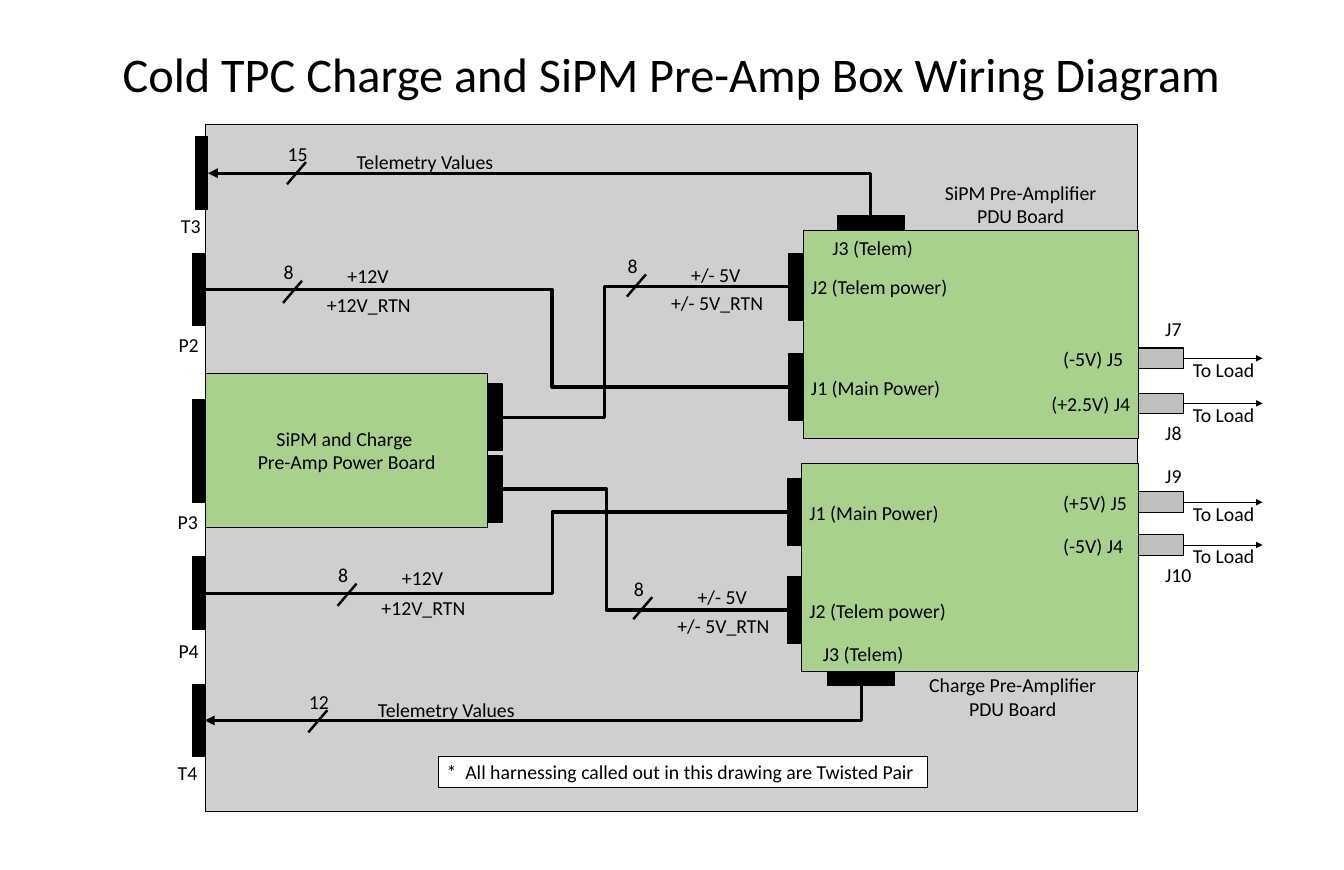
from dataclasses import dataclass
from lxml.etree import SubElement
from pptx import Presentation
from pptx.dml.color import RGBColor
from pptx.enum.shapes import MSO_CONNECTOR as CXN, MSO_SHAPE as SHAPE
from pptx.enum.text import MSO_ANCHOR as ANCHOR, MSO_AUTO_SIZE as AUTO, PP_ALIGN as ALIGN
from pptx.oxml.ns import qn
from pptx.util import Inches, Pt


@dataclass(frozen=True)
class Theme:
    font: str = "Calibri"
    black: str = "000000"
    white: str = "FFFFFF"
    box: str = "D0CECE"
    board: str = "A9D18E"
    plug: str = "BFBFBF"
    title: int = 44
    body: int = 18
    wire: float = 3
    slash: float = 2.25
    lead: float = 0.5


THEME = Theme()
TOP, LEFT, BOTTOM, RIGHT = range(4)


def write(tf, text, size=THEME.body, align=ALIGN.LEFT, anchor=ANCHOR.TOP, wrap=False):
    tf.auto_size = AUTO.NONE if wrap else AUTO.SHAPE_TO_FIT_TEXT
    tf.word_wrap = wrap
    tf.vertical_anchor = anchor
    p = tf.paragraphs[0]
    p.text = text
    p.alignment = align
    for r in p.runs:
        r.font.name = THEME.font
        r.font.size = Pt(size)
        r.font.color.rgb = RGBColor.from_string(THEME.black)
    return p


def add_label(slide, text, x, y, w, h=0.4, **fmt):
    sp = slide.shapes.add_textbox(Inches(x), Inches(y), Inches(w), Inches(h))
    write(sp.text_frame, text, **fmt)


def add_rect(slide, x, y, w, h, fill=THEME.black, line=1):
    sp = slide.shapes.add_shape(SHAPE.RECTANGLE, Inches(x), Inches(y), Inches(w), Inches(h))
    sp.shadow.inherit = False
    sp.fill.solid()
    sp.fill.fore_color.rgb = RGBColor.from_string(fill)
    sp.line.color.rgb = RGBColor.from_string(THEME.black)
    sp.line.width = Pt(line)
    return sp


def style_line(cxn, width, arrow=None):
    cxn.line.color.rgb = RGBColor.from_string(THEME.black)
    cxn.line.width = Pt(width)
    sp_pr = cxn._element.spPr
    if arrow:
        SubElement(sp_pr.find(qn("a:ln")), qn("a:" + arrow), type="triangle")
    SubElement(sp_pr, qn("a:effectLst"))


def add_line(slide, x1, y1, x2, y2, width, arrow=None):
    cxn = slide.shapes.add_connector(CXN.STRAIGHT, Inches(x1), Inches(y1), Inches(x2), Inches(y2))
    style_line(cxn, width, arrow)


def add_wire(slide, start, end, site, bend=None, arrow=None):
    cxn = slide.shapes.add_connector(CXN.ELBOW, 0, 0, 0, 0)
    cxn.begin_connect(start, RIGHT)
    cxn.end_connect(end, site)
    geom = cxn._element.spPr.find(qn("a:prstGeom"))
    if bend is None:
        geom.set("prst", "bentConnector2")
    else:
        share = (Inches(bend) - cxn.begin_x) / (cxn.end_x - cxn.begin_x)
        SubElement(geom.find(qn("a:avLst")), qn("a:gd"), name="adj1",
                   fmla=f"val {round(share * 100000)}")
    style_line(cxn, THEME.wire, arrow)


def wire_mark(slide, x, y, count, labels):
    add_line(slide, x + 0.24, y, x, y + 0.28, THEME.slash)
    add_label(slide, count, x - 0.09, y - 0.31, 0.33 if len(count) == 1 else 0.46)
    for text, dx, dy, w in labels:
        add_label(slide, text, x + dx, y + dy, w, align=ALIGN.CENTER)


def box_plug(slide, name, x, y, w, h, gap):
    sp = add_rect(slide, x, y, w, h)
    add_label(slide, name, x - 0.28, y + h + gap, 0.46)
    return sp


def load_output(slide, x, y, name, name_dy, name_w):
    add_rect(slide, x, y, 0.59, 0.26, fill=THEME.plug)
    add_line(slide, x + 0.59, y + 0.13, x + 1.59, y + 0.13, THEME.lead, "tailEnd")
    add_label(slide, "To Load", x + 0.61, y + 0.07, 0.99)
    add_label(slide, name, x + 0.26, y + name_dy, name_w)


def pdu_board(slide, x, y, w, title, ports, telem, outputs):
    for dy, name, name_dy, name_w, *_ in outputs:
        load_output(slide, x + w - 0.02, y + dy, name, name_dy, name_w)
    add_rect(slide, x, y, w, 2.63, fill=THEME.board)
    for dy, *_, inner, dx, inner_w in outputs:
        add_label(slide, inner, x + dx, y + dy - 0.06, inner_w)
    text, dx, dy, title_w = title
    add_label(slide, text, x + dx, y + dy, title_w, 0.71, align=ALIGN.CENTER)
    plugs = {}
    for name, text, dy, text_w in ports:
        plugs[name] = add_rect(slide, x - 0.18, y + dy, 0.18, 0.85)
        add_label(slide, text, x, y + dy + 0.23, text_w)
    dx, dy, text_dy = telem
    plugs["J3"] = add_rect(slide, x + dx, y + dy, 0.85, 0.18)
    add_label(slide, "J3 (Telem)", x + dx - 0.16, y + text_dy, 1.23)
    return plugs


def power_board(slide, x, y, w, h):
    add_rect(slide, x, y, w, h, fill=THEME.board)
    add_label(slide, "SiPM and Charge \nPre-Amp Power Board", x + 0.55, y + 0.62, 2.47, 0.71,
              align=ALIGN.CENTER)
    return [add_rect(slide, x + w, y + dy, 0.18, 0.85) for dy in (0.13, 1.04)]


def page_title(slide, x, y, w, h):
    sp = slide.shapes.title
    sp.left, sp.top, sp.width, sp.height = map(Inches, (x, y, w, h))
    p = write(sp.text_frame, "Cold TPC Charge and SiPM Pre-Amp Box Wiring Diagram",
              size=THEME.title, align=ALIGN.CENTER, anchor=ANCHOR.MIDDLE, wrap=True)
    p.line_spacing = 0.9


def harness_note(slide, x, y, w, h):
    sp = add_rect(slide, x, y, w, h, fill=THEME.white, line=0.75)
    write(sp.text_frame, "*  All harnessing called out in this drawing are Twisted Pair")


def wiring_slide(prs):
    slide = prs.slides.add_slide(prs.slide_layouts[5])
    page_title(slide, 1.17, 0.59, 14.66, 0.77)
    add_rect(slide, 2.6, 1.57, 11.79, 8.69, fill=THEME.box)

    j1, j2 = ("J1", "J1 (Main Power)"), ("J2", "J2 (Telem power)")
    sipm = pdu_board(
        slide, 10.16, 2.91, 4.24, ("SiPM Pre-Amplifier\nPDU Board", 1.68, -0.68, 2.14),
        [(*j2, 0.29, 1.95), (*j1, 1.56, 1.86)], (0.43, -0.19, 0.02),
        [(1.49, "J7", -0.44, 0.41, "(-5V) J5", 3.19, 0.97),
         (2.06, "J8", 0.3, 0.41, "(+2.5V) J4", 3.04, 1.21)])
    charge = pdu_board(
        slide, 10.14, 5.86, 4.26, ("Charge Pre-Amplifier\nPDU Board", 1.5, 2.6, 2.34),
        [(*j1, 0.19, 1.86), (*j2, 1.43, 1.95)], (0.33, 2.63, 2.2),
        [(0.36, "J9", -0.4, 0.41, "(+5V) J5", 3.21, 1.02),
         (0.9, "J10", 0.31, 0.54, "(-5V) J4", 3.21, 0.97)])
    upper, lower = power_board(slide, 2.6, 4.72, 3.57, 1.95)

    plugs = {name: box_plug(slide, name, x, y, 0.16, h, gap) for name, x, y, h, gap in (
        ("T3", 2.47, 1.73, 0.92, 0), ("P2", 2.44, 3.2, 0.92, 0.04),
        ("P3", 2.43, 5.05, 1.3, 0.05), ("P4", 2.44, 7.04, 0.92, 0.07),
        ("T4", 2.43, 8.65, 0.92, 0))}

    add_wire(slide, plugs["T3"], sipm["J3"], TOP, arrow="headEnd")
    add_wire(slide, plugs["T4"], charge["J3"], BOTTOM, arrow="headEnd")
    for start, end, bend in ((plugs["P2"], sipm["J1"], 6.98), (upper, sipm["J2"], 7.65),
                             (plugs["P4"], charge["J1"], 6.99), (lower, charge["J2"], 7.67)):
        add_wire(slide, start, end, LEFT, bend)

    telemetry = [("Telemetry Values", 0.77, -0.21, 1.95)]
    main = [("+12V", 0.71, -0.27, 0.73), ("+12V_RTN", 0.45, 0.1, 1.27)]
    low = [("+/- 5V", 0.71, -0.2, 0.83), ("+/- 5V_RTN", 0.45, 0.16, 1.38)]
    for x, y, count, labels in (
            (3.63, 2.05, "15", telemetry), (3.9, 8.98, "12", telemetry),
            (3.58, 3.55, "8", main), (4.27, 7.38, "8", main),
            (7.93, 3.47, "8", low), (8.01, 7.55, "8", low)):
        wire_mark(slide, x, y, count, labels)
    harness_note(slide, 5.55, 9.56, 6.18, 0.4)


def main():
    prs = Presentation()
    prs.slide_width, prs.slide_height = Inches(17), Inches(11)
    wiring_slide(prs)
    prs.save("out.pptx")


if __name__ == "__main__":
    main()
